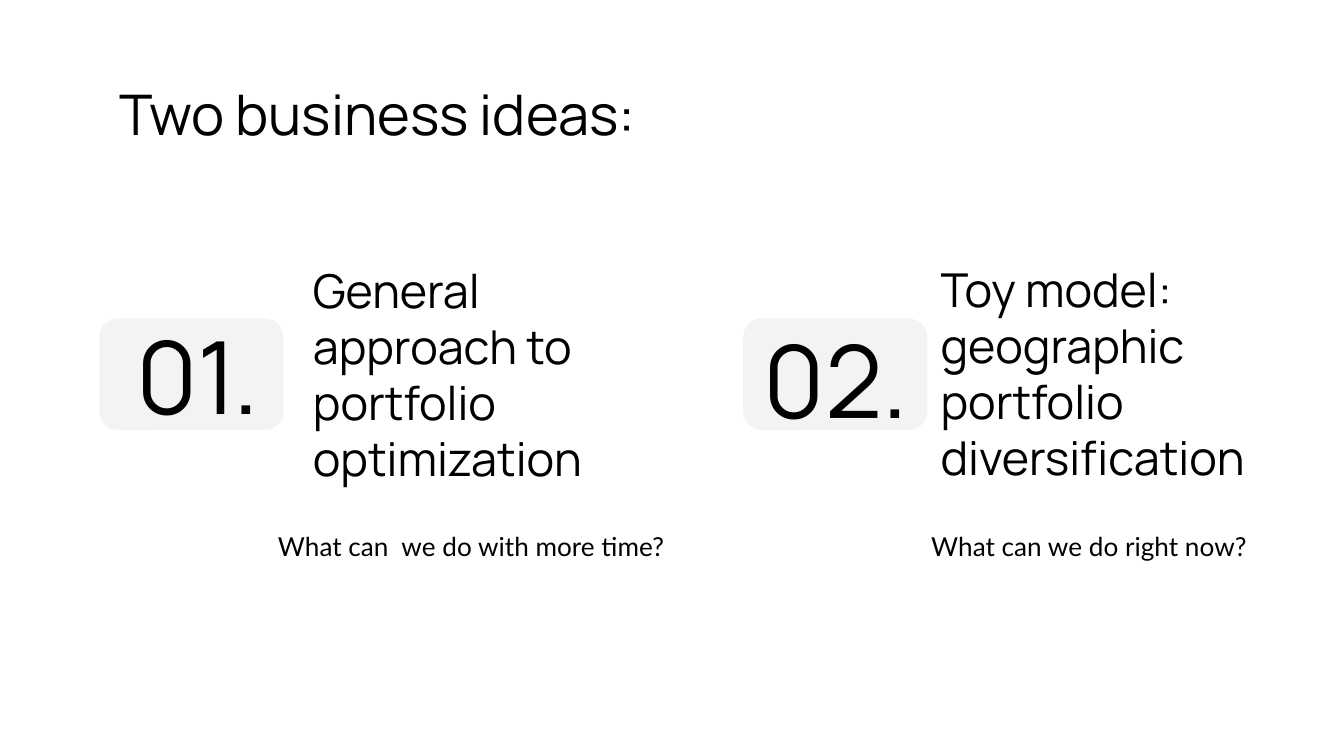
import pptx
import pptx.util
import pptx.dml.color
import pptx.enum.shapes
import pptx.enum.text

Inches = pptx.util.Inches
ALIGN = pptx.enum.text.PP_ALIGN
ANCHOR = pptx.enum.text.MSO_ANCHOR
BLACK = pptx.dml.color.RGBColor(0, 0, 0)
GREY = pptx.dml.color.RGBColor(0xF3, 0xF3, 0xF3)


def add_text(slide, text, box, size, font="Manrope",
             align=ALIGN.LEFT, anchor=ANCHOR.MIDDLE):
    frame = slide.shapes.add_textbox(*map(Inches, box)).text_frame
    frame.word_wrap = True
    frame.vertical_anchor = anchor
    frame.margin_left = frame.margin_right = Inches(0.1)
    frame.margin_top = frame.margin_bottom = Inches(0.1)
    line = frame.paragraphs[0]
    line.alignment = align
    run = line.add_run()
    run.text = text
    run.font.size = pptx.util.Pt(size)
    run.font.name = font
    run.font.color.rgb = BLACK


def add_badge(slide, left):
    kind = pptx.enum.shapes.MSO_SHAPE.ROUNDED_RECTANGLE
    badge = slide.shapes.add_shape(
        kind, Inches(left), Inches(2.37), Inches(1.37), Inches(0.83))
    badge.shadow.inherit = False
    badge.fill.solid()
    badge.fill.fore_color.rgb = GREY
    badge.line.fill.background()


def add_idea(slide, label, label_box, name, name_box, note, note_box):
    add_text(slide, name, name_box, 25)
    add_text(slide, note, note_box, 14, font="Lato", anchor=ANCHOR.TOP)
    add_text(slide, label, label_box, 54, align=ALIGN.CENTER)


def main():
    deck = pptx.Presentation()
    deck.slide_width = Inches(10)
    deck.slide_height = Inches(10) * 9 // 16
    slide = deck.slides.add_slide(deck.slide_layouts[6])

    for left in (0.74, 5.53):
        add_badge(slide, left)
    add_text(slide, "Two business ideas:", (0.79, 0.49, 8.43, 0.63), 30,
             anchor=ANCHOR.TOP)
    add_idea(slide,
             "01.", (0.71, 2.47, 1.52, 0.63),
             "General approach to portfolio optimization",
             (2.23, 2.49, 2.61, 0.58),
             "What can  we do with more time?", (1.97, 3.85, 3.2, 0.53))
    add_idea(slide,
             "02.", (5.46, 2.5, 1.52, 0.63),
             "Toy model: geographic portfolio diversification",
             (6.9, 2.06, 2.79, 1.43),
             "What can we do right now?", (6.83, 3.85, 2.79, 0.53))
    deck.save("out.pptx")


if __name__ == "__main__":
    main()
